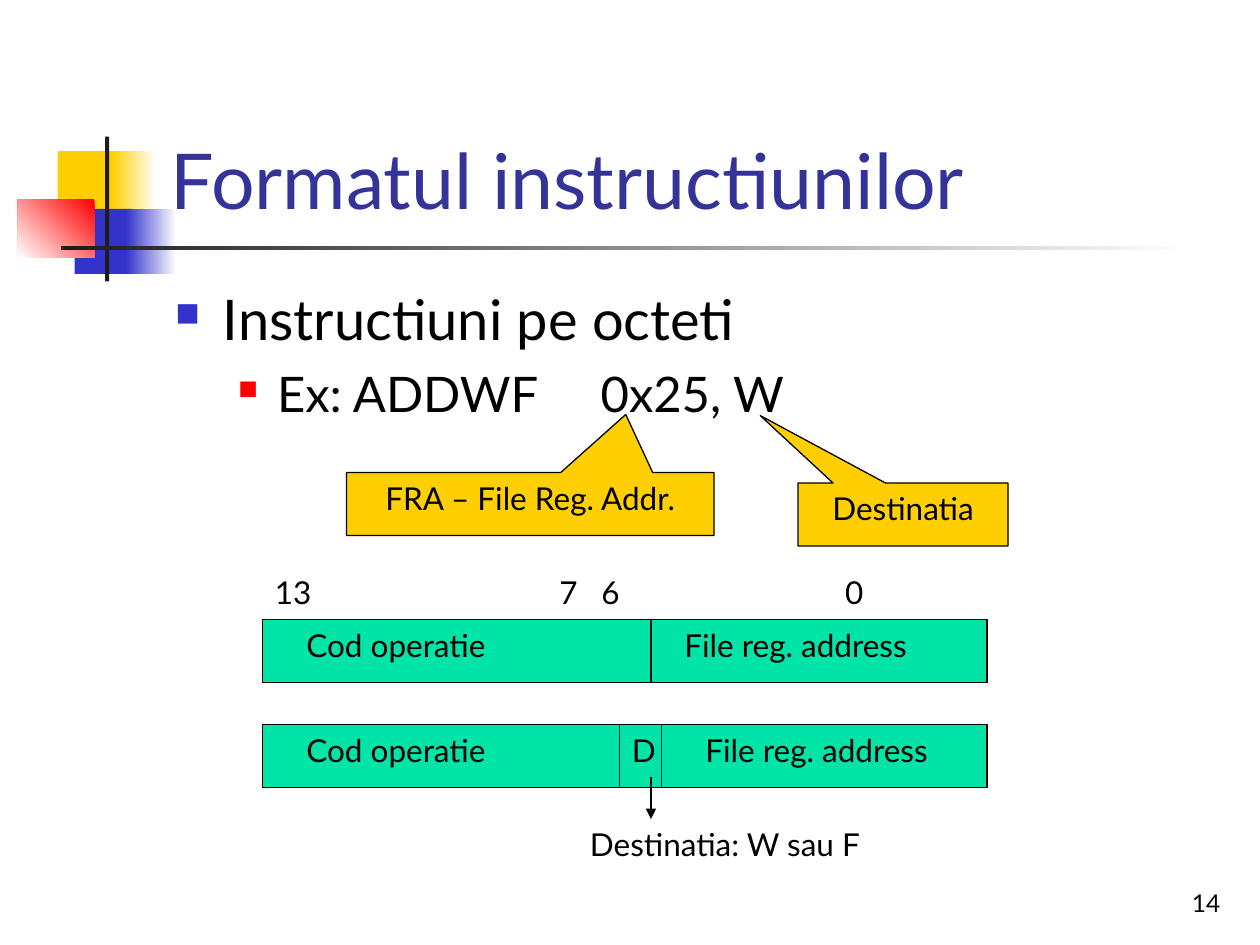
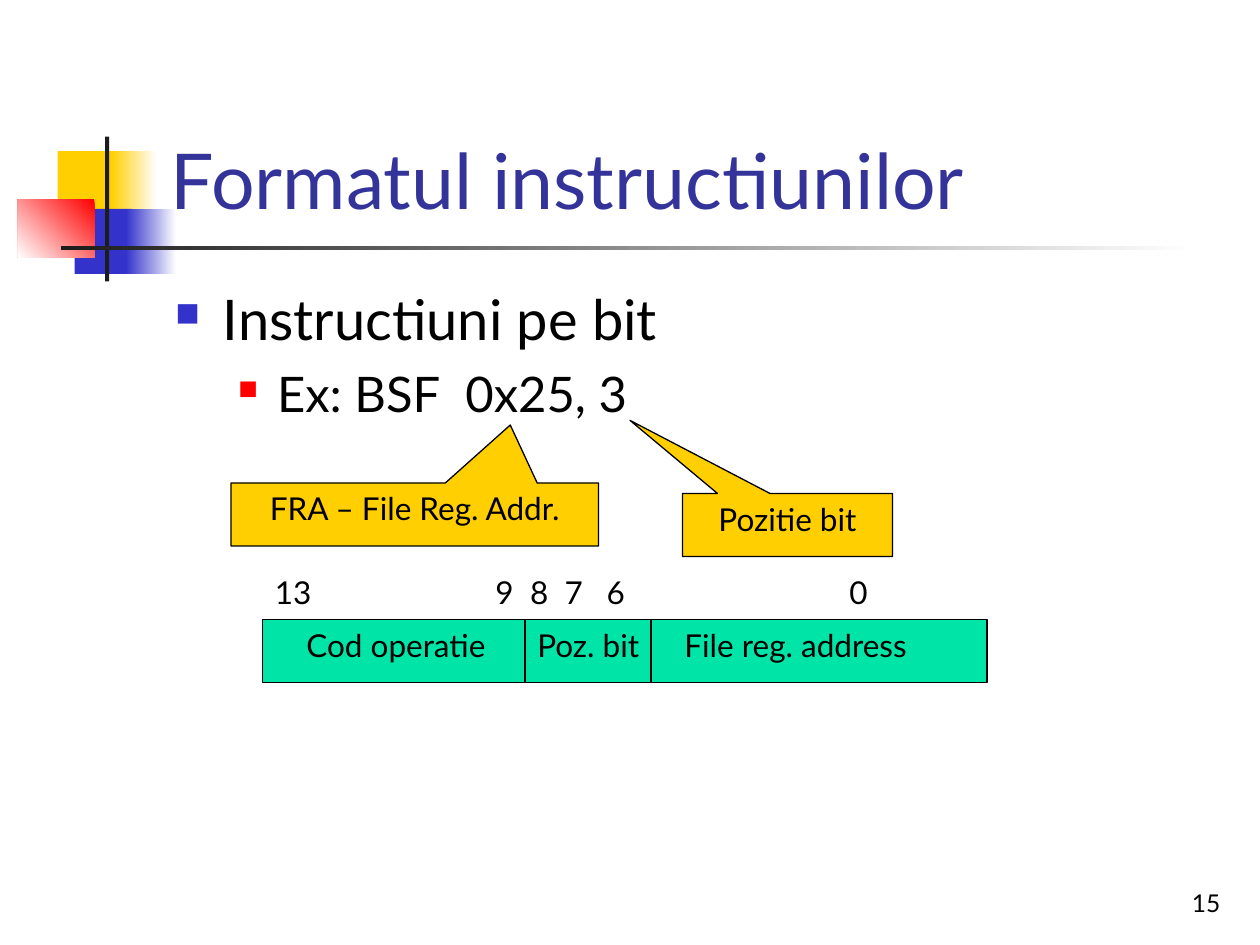
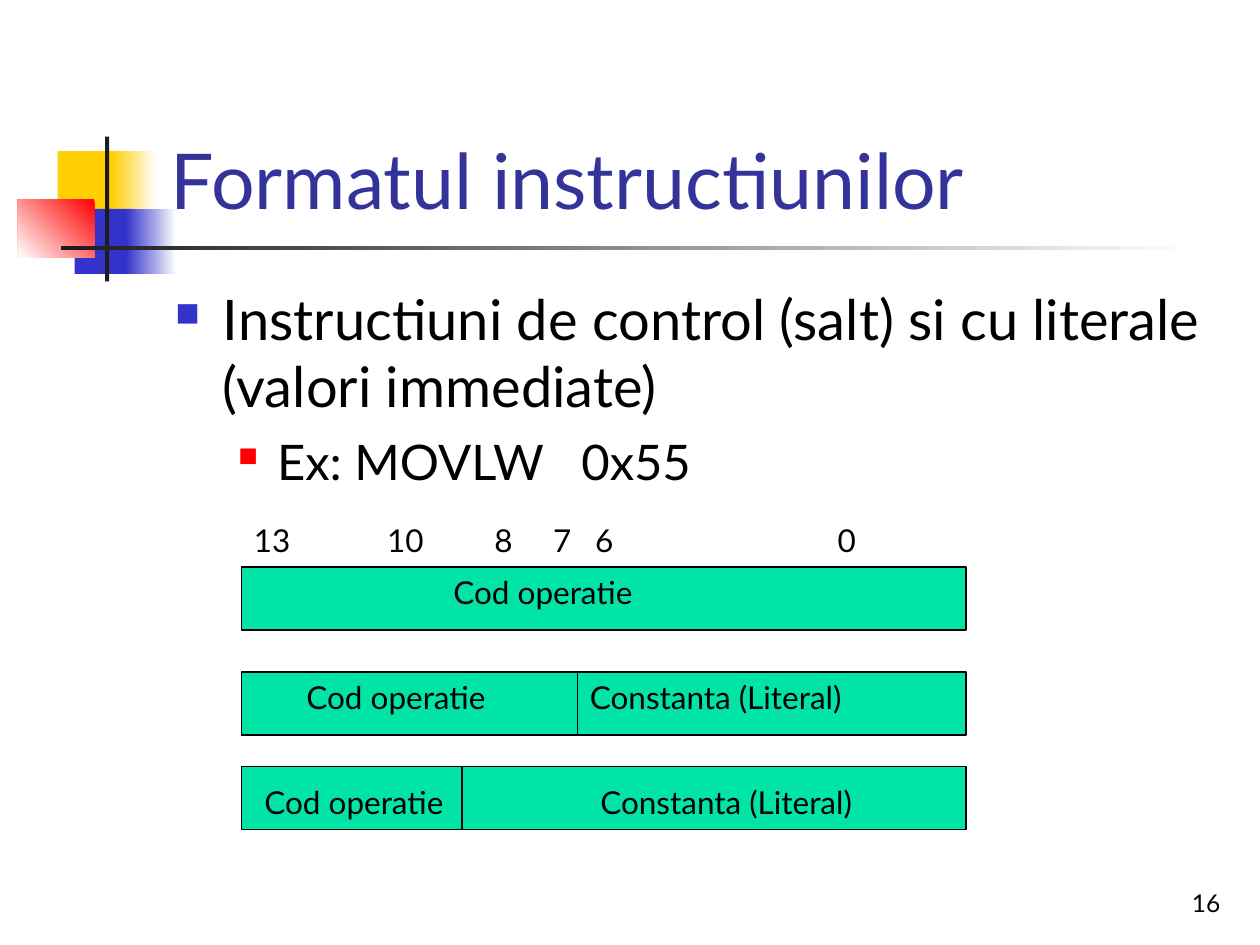
from lxml import etree
from pptx import Presentation
from pptx.dml.color import RGBColor
from pptx.enum.shapes import MSO_CONNECTOR as CONN, MSO_SHAPE as SHAPE
from pptx.enum.text import MSO_ANCHOR as ANCHOR, PP_ALIGN as ALIGN
from pptx.oxml.ns import qn
from pptx.util import Inches, Pt

WHITE = RGBColor(0xFF, 0xFF, 0xFF)
BLACK = RGBColor(0, 0, 0)
CHARCOAL = RGBColor(0x1C, 0x1C, 0x1C)
YELLOW = RGBColor(0xFF, 0xCF, 0x01)
BLUE = RGBColor(0x33, 0x33, 0xCC)
RED = RGBColor(0xFF, 0, 0)
NAVY = RGBColor(0x33, 0x33, 0x99)
GREEN = RGBColor(0, 0xE4, 0xA8)

FONT = "Lato"
COLS, ROWS = 120, 90          # grid of the slide, 12 cells to the inch
BAR_W, BAR_H = 69, 6          # one instruction word
LABEL_H = 4.8
SPACE = 0.254                 # width of a space, in ems

# Master ornament: x, y, width, height, colours, gradient angle
ORNAMENT = [
    (5.5, 14.4, 5.8, 6.2, [YELLOW], 0),
    (10.6, 14.4, 4.3, 6.2, [WHITE, YELLOW], 180),
    (7.1, 19.9, 5.5, 6.2, [BLUE], 0),
    (12, 19.9, 4.8, 6.2, [WHITE, BLUE], 180),
    (1.7, 19, 7.3, 5.5, [RED, WHITE], 225),
    (10, 13, 0.4, 13.8, [CHARCOAL], 0),
    (5.8, 23.4, 108, 0.4, [WHITE, CHARCOAL], 180),
]


def cells(n):
    return Inches(n / 12)


def add_xml(parent, tag, **attrs):
    return etree.SubElement(parent, qn(tag), attrs)


def write(p, text, size=18, color=BLACK, align=ALIGN.LEFT, spacing=0):
    """Add a formatted run to a paragraph."""
    p.alignment = align
    r = p.add_run()
    r.text = text
    r.font.name, r.font.size = FONT, Pt(size)
    r.font.color.rgb = color
    if spacing:
        r.font._element.set("spc", str(round(spacing * 100)))


class Deck:
    def __init__(self):
        self.prs = Presentation()
        self.prs.slide_width, self.prs.slide_height = cells(COLS), cells(ROWS)
        self.slide = None

    def new_slide(self, title, number):
        self.slide = self.prs.slides.add_slide(self.prs.slide_layouts[6])
        for x, y, w, h, colors, angle in ORNAMENT:
            self.shape(SHAPE.RECTANGLE, x, y, w, h, colors, angle)
        self.text(title, 15.1, 2.8, 102.2, 19.2, anchor=ANCHOR.BOTTOM,
                  size=44, color=NAVY)
        self.text(str(number), 92.4, 82, 25, 6, anchor=ANCHOR.BOTTOM,
                  size=14, align=ALIGN.RIGHT)

    def shape(self, kind, x, y, w, h, colors, angle=0, outlined=False):
        sp = self.slide.shapes.add_shape(kind, *map(cells, (x, y, w, h)))
        sp.shadow.inherit = False
        if len(colors) == 1:
            sp.fill.solid()
            sp.fill.fore_color.rgb = colors[0]
        else:
            sp.fill.gradient()
            sp.fill.gradient_angle = angle
            for stop, color in zip(sp.fill.gradient_stops, colors):
                stop.color.rgb = color
        if outlined:
            sp.line.color.rgb, sp.line.width = BLACK, Pt(0.75)
        else:
            sp.line.fill.background()
        return sp

    def text(self, text, x, y, w, h=LABEL_H, anchor=ANCHOR.TOP, **fmt):
        sp = self.slide.shapes.add_textbox(*map(cells, (x, y, w, h)))
        tf = sp.text_frame
        tf.word_wrap, tf.vertical_anchor = True, anchor
        p = tf.paragraphs[0]
        if text:
            write(p, text, **fmt)
        return tf

    def line(self, x, y1, y2, arrow=False):
        cn = self.slide.shapes.add_connector(
            CONN.STRAIGHT, *map(cells, (x, y1, x, y2)))
        cn.line.color.rgb, cn.line.width = BLACK, Pt(0.75)
        if arrow:
            add_xml(cn.line._get_or_add_ln(), "a:tailEnd", type="triangle")
        add_xml(cn._element.spPr, "a:effectLst")

    def bullet(self, p, margin, hang, color, percent):
        pPr = p._p.get_or_add_pPr()
        pPr.set("marL", str(Inches(margin)))
        pPr.set("indent", str(-Inches(hang)))
        add_xml(add_xml(pPr, "a:buClr"), "a:srgbClr", val=str(color))
        add_xml(pPr, "a:buSzPct", val=str(percent * 1000))
        add_xml(pPr, "a:buChar", char="■")

    def body(self, heading, mnemonic, operands, gap):
        """Heading and example; gap is the space before operands, in spaces."""
        tf = self.text("", 15.5, 26.5, 102, 54)
        p = tf.paragraphs[0]
        self.bullet(p, 0.38, 0.38, BLUE, 60)
        write(p, heading, size=32)
        p = tf.add_paragraph()
        p.level = 1
        self.bullet(p, 0.81, 0.31, RED, 55)
        p.space_before = Pt(7)
        write(p, "Ex: " + mnemonic, size=28)
        write(p, " ", size=28, spacing=(gap - 1) * SPACE * 28)
        write(p, operands, size=28)

    def bits(self, x, y, first, marks):
        """Bit numbers above a word, each at its own tab stop."""
        tf = self.text("", x, y, 70)
        p = tf.paragraphs[0]
        tabs = add_xml(p._p.get_or_add_pPr(), "a:tabLst")
        for _, stop in marks:
            add_xml(tabs, "a:tab", pos=str(cells(stop)), algn="l")
        write(p, "\t".join([first] + [bit for bit, _ in marks]))

    def word(self, x, y, dividers, fields, drop=0):
        """Instruction word: bar, dividers and (text, x, width) fields."""
        self.shape(SHAPE.RECTANGLE, x, y, BAR_W, BAR_H, [GREEN], outlined=True)
        for divider in dividers:
            self.line(divider, y, y + BAR_H)
        for text, left, w in fields:
            self.text(text, left, y + drop, w)

    def callout(self, text, x, y, w, tip):
        sp = self.shape(SHAPE.RECTANGULAR_CALLOUT, x, y, w, BAR_H,
                        [YELLOW], outlined=True)
        sp.adjustments[0], sp.adjustments[1] = tip
        tf = sp.text_frame
        tf.word_wrap, tf.vertical_anchor = True, ANCHOR.TOP
        write(tf.paragraphs[0], text, align=ALIGN.CENTER)


def main():
    deck = Deck()
    title = "Formatul instructiunilor"
    opcode, address = "Cod operatie", "File reg. address"
    literal, fra = "Constanta (Literal)", "FRA – File Reg. Addr."
    fra_tip = (0.26, -1.42)

    # Byte instructions
    deck.new_slide(title, 14)
    deck.body("Instructiuni pe octeti", "ADDWF", "0x25, W", gap=5)
    deck.word(25, 59, [62], [(opcode, 28, 33), (address, 64, 27)])
    deck.word(25, 69, [59, 63],
              [(address, 66, 27), ("D", 59, 7), (opcode, 28, 33)])
    deck.line(62, 74, 78, arrow=True)
    deck.text("Destinatia: W sau F", 55, 78, 32)
    deck.bits(25, 54, "13", [("7", 27.1), ("6", 31.1), ("0", 54.3)])
    deck.callout(fra, 33, 45, 35, fra_tip)
    deck.callout("Destinatia", 76, 46, 20, (-0.68, -1.57))

    # Bit instructions
    deck.new_slide(title, 15)
    deck.body("Instructiuni pe bit", "BSF", "0x25, 3", gap=2)
    deck.word(25, 59, [50, 62],
              [(opcode, 28, 33), (address, 64, 27), ("Poz. bit", 50, 13)])
    deck.bits(25, 54, "13", [("9", 21), ("8", 24.3), ("7", 27.6),
                             ("6", 31.6), ("0", 54.7)])
    deck.callout(fra, 22, 46, 35, fra_tip)
    deck.callout("Pozitie bit", 65, 47, 20, (-0.75, -1.66))

    # Control and literal instructions
    deck.new_slide(title, 16)
    deck.body("Instructiuni de control (salt) si cu literale "
              "(valori immediate)", "MOVLW", "0x55", gap=3)
    deck.word(23, 54, [], [(opcode, 42, 33)])
    deck.word(23, 64, [55], [(opcode, 28, 26), (literal, 55, 31)])
    deck.word(23, 73, [44], [(opcode, 24, 26), (literal, 56, 31)], drop=1)
    deck.bits(23, 49, "13", [("10", 12.7), ("8", 22.9), ("7", 28.5),
                             ("6", 32.5), ("0", 55.6)])

    deck.prs.save("out.pptx")


if __name__ == "__main__":
    main()
